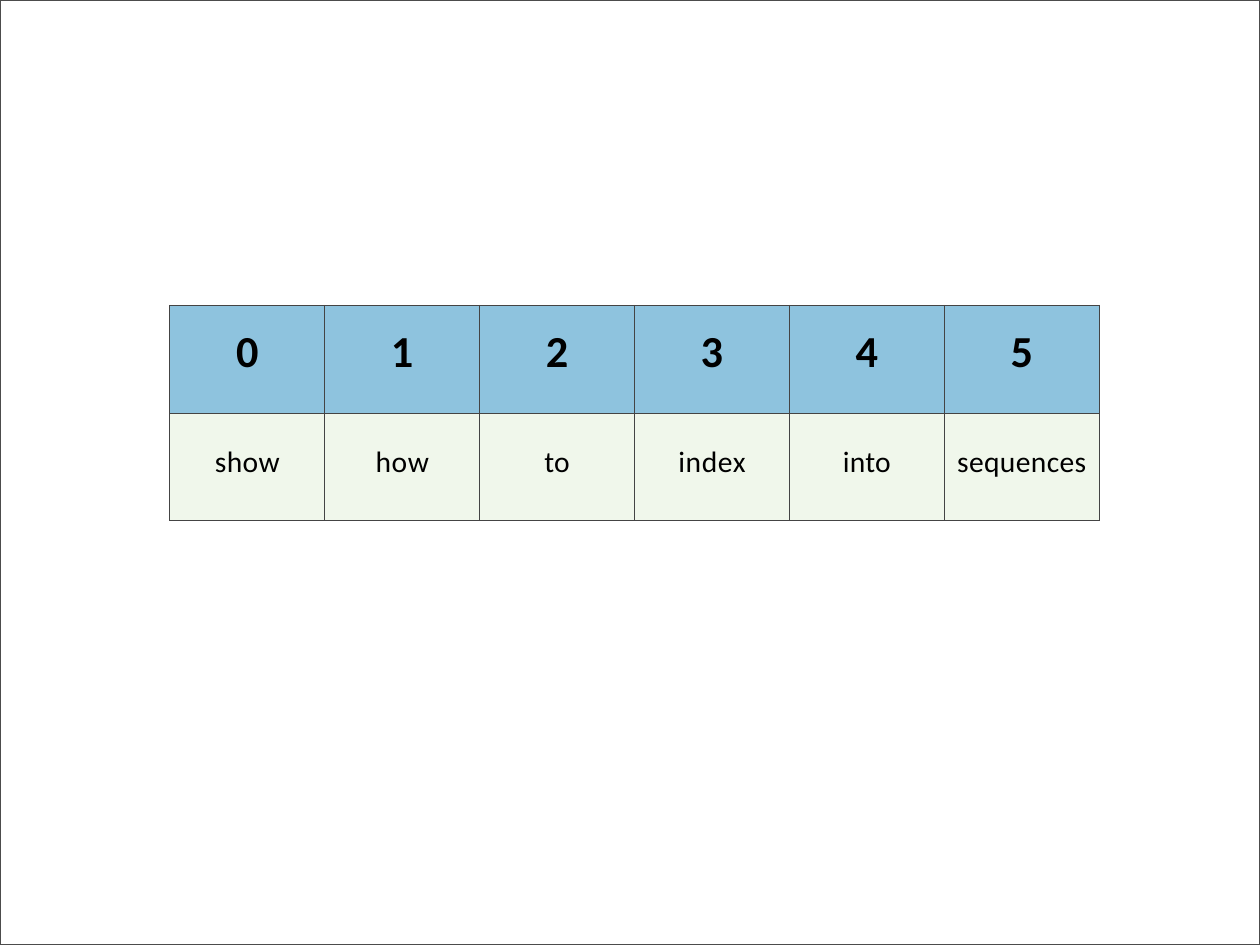
from dataclasses import dataclass

import lxml.etree
import pptx
import pptx.dml.color
import pptx.enum.shapes
import pptx.enum.text
import pptx.oxml.ns
import pptx.util
from pptx.util import Cm


@dataclass(frozen=True)
class Theme:
    font: str = "Calibri"
    text: str = "000000"
    index_fill: str = "228BBF"
    word_fill: str = "F0F7EB"
    grid: str = "444444"
    frame: str = "4C4C4C"
    index_size: int = 36
    word_size: int = 24
    line: int = 1


@dataclass(frozen=True)
class RowStyle:
    fill: str
    alpha: int  # percent
    size: int
    bold: bool
    top: float  # cm
    space_before: int


@dataclass(frozen=True)
class Entry:
    text: str
    spacing: float = 0  # points between letters


THEME = Theme()
INDEX_ROW = RowStyle(THEME.index_fill, 51, THEME.index_size, True, 0.56, 16)
WORD_ROW = RowStyle(THEME.word_fill, 100, THEME.word_size, False, 0.89, 25)
WORDS = [
    Entry("show", 0.4), Entry("how", 0.5), Entry("to", 0.1),
    Entry("index", 0.5), Entry("into", 0.2), Entry("sequences", 0.3),
]
INDICES = [Entry(str(i)) for i in range(len(WORDS))]
ROWS = [(INDEX_ROW, INDICES), (WORD_ROW, WORDS)]

SLIDE_W, SLIDE_H = 36.12, 27.1
LEFT, TOP = 4.87, 8.76
COL_W, ROW_H = 4.44, 3.09


def rgb(code: str) -> pptx.dml.color.RGBColor:
    return pptx.dml.color.RGBColor.from_string(code)


def add_borders(cell) -> None:
    qn = pptx.oxml.ns.qn
    tcPr = cell._tc.get_or_add_tcPr()
    for side in ("a:lnL", "a:lnR", "a:lnT", "a:lnB"):
        ln = lxml.etree.SubElement(tcPr, qn(side), w=str(pptx.util.Pt(THEME.line)))
        fill = lxml.etree.SubElement(ln, qn("a:solidFill"))
        lxml.etree.SubElement(fill, qn("a:srgbClr"), val=THEME.grid)


def fill_cell(cell, style: RowStyle) -> None:
    qn = pptx.oxml.ns.qn
    cell.fill.solid()
    cell.fill.fore_color.rgb = rgb(style.fill)
    if style.alpha < 100:
        color = cell._tc.tcPr.find(qn("a:solidFill")).find(qn("a:srgbClr"))
        lxml.etree.SubElement(color, qn("a:alpha"), val=str(style.alpha * 1000))


def write_cell(cell, style: RowStyle, entry: Entry) -> None:
    margins = {
        "margin_left": 0, "margin_right": 0, "margin_bottom": 0,
        "margin_top": Cm(style.top),
    }
    for name, value in margins.items():
        setattr(cell, name, value)
    p = cell.text_frame.paragraphs[0]
    p.alignment = pptx.enum.text.PP_ALIGN.CENTER
    p.space_before = pptx.util.Pt(style.space_before)
    r = p.add_run()
    r.text = entry.text
    font = {"name": THEME.font, "size": pptx.util.Pt(style.size), "bold": style.bold}
    for name, value in font.items():
        setattr(r.font, name, value)
    r.font.color.rgb = rgb(THEME.text)
    if entry.spacing:
        r._r.get_or_add_rPr().set("spc", str(round(entry.spacing * 100)))


def add_index_table(s) -> None:
    table = s.shapes.add_table(
        len(ROWS), len(WORDS), Cm(LEFT), Cm(TOP),
        Cm(COL_W * len(WORDS)), Cm(ROW_H * len(ROWS)),
    ).table
    table.first_row = table.horz_banding = False
    for column in table.columns:
        column.width = Cm(COL_W)
    for row, (style, entries) in zip(table.rows, ROWS):
        row.height = Cm(ROW_H)
        for cell, entry in zip(row.cells, entries):
            add_borders(cell)
            fill_cell(cell, style)
            write_cell(cell, style, entry)


def add_frame(s) -> None:
    sp = s.shapes.add_shape(
        pptx.enum.shapes.MSO_SHAPE.RECTANGLE, 0, 0, Cm(SLIDE_W), Cm(SLIDE_H)
    )
    sp.shadow.inherit = False
    sp.fill.background()
    sp.line.color.rgb = rgb(THEME.frame)
    sp.line.width = pptx.util.Pt(THEME.line)


def main() -> None:
    prs = pptx.Presentation()
    prs.slide_width, prs.slide_height = Cm(SLIDE_W), Cm(SLIDE_H)
    s = prs.slides.add_slide(prs.slide_layouts[6])  # blank layout
    add_index_table(s)
    add_frame(s)
    prs.save("out.pptx")


if __name__ == "__main__":
    main()
